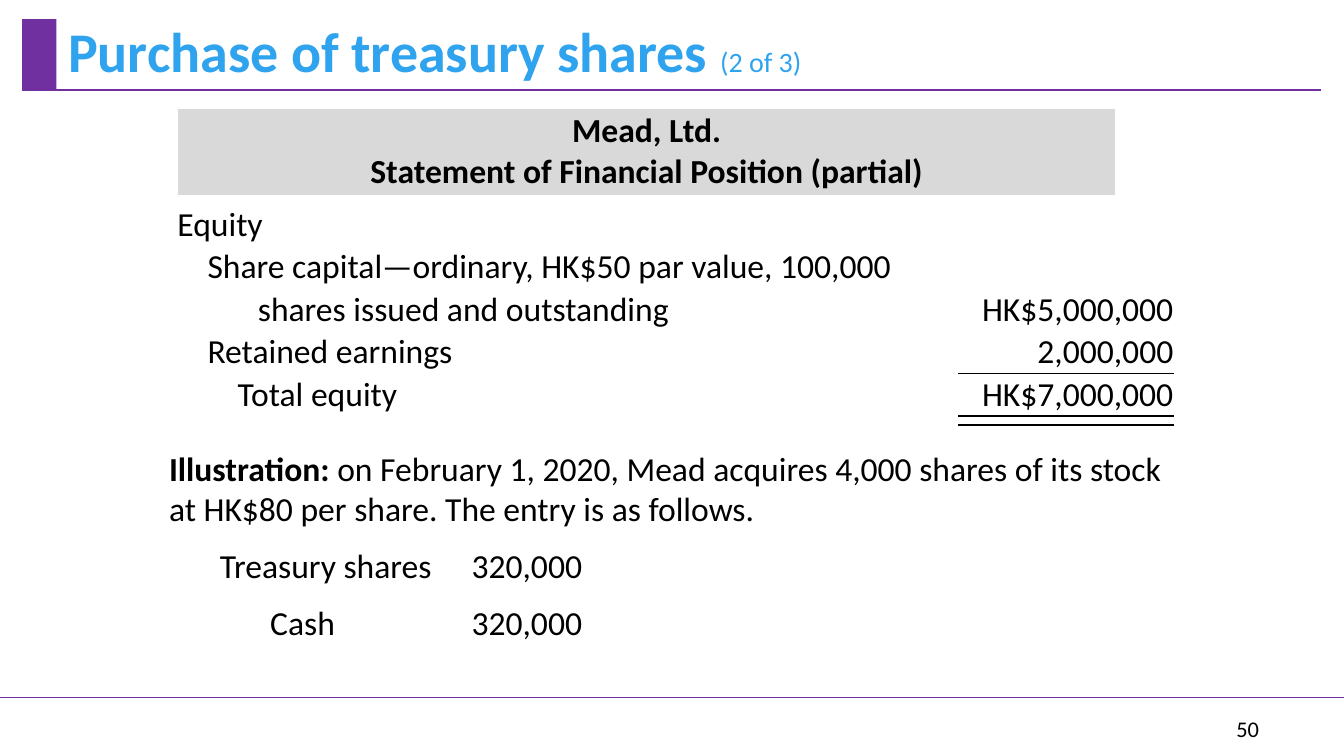
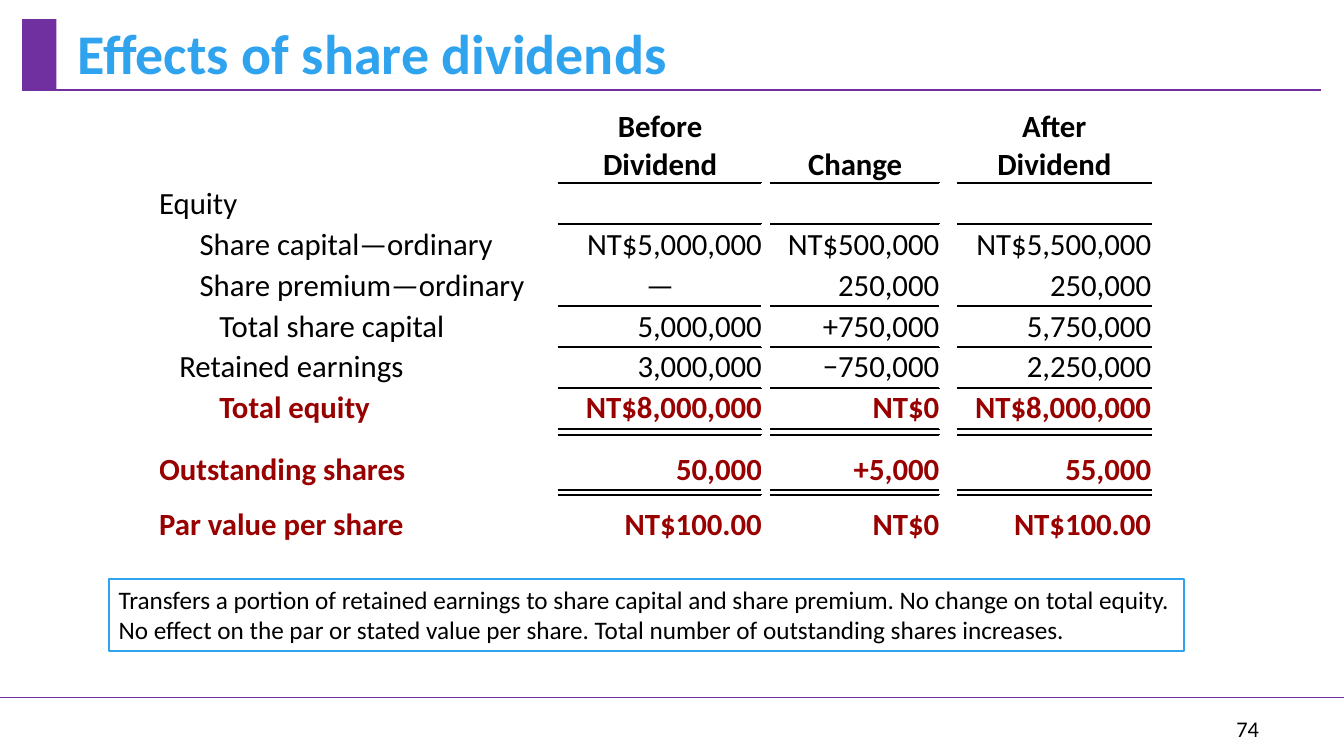
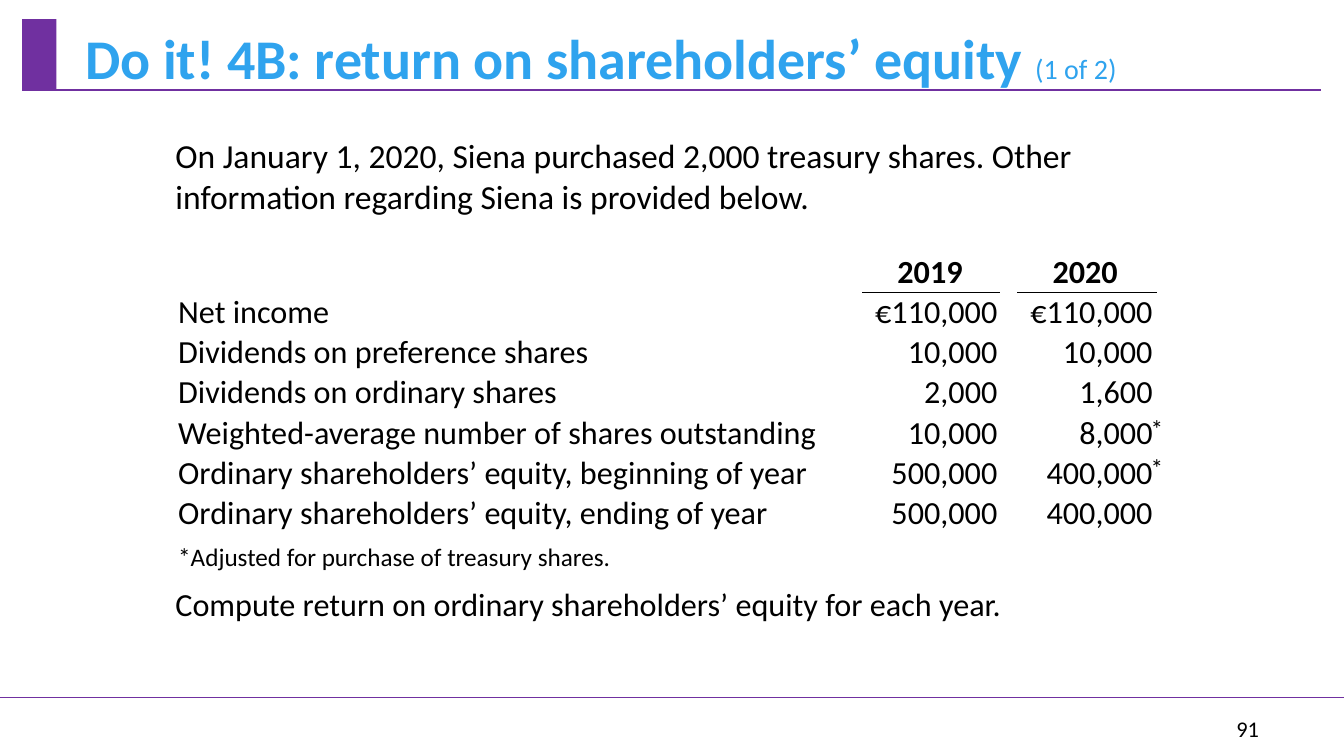
"""Build three accounting slides on treasury shares, share dividends and return on equity."""
import lxml.etree
import pptx
import pptx.dml.color
import pptx.enum.shapes
import pptx.enum.text
import pptx.oxml.ns
import pptx.util

Cm = pptx.util.Cm
Pt = pptx.util.Pt
qn = pptx.oxml.ns.qn
ALIGN = pptx.enum.text.PP_ALIGN
ANCHOR = pptx.enum.text.MSO_ANCHOR

PURPLE = pptx.dml.color.RGBColor(0x70, 0x30, 0xA0)
BLUE = pptx.dml.color.RGBColor(0x2F, 0xA3, 0xEE)
RED = pptx.dml.color.RGBColor(0x99, 0x00, 0x00)
GREY = pptx.dml.color.RGBColor(0xD9, 0xD9, 0xD9)
WHITE = pptx.dml.color.RGBColor(0xFF, 0xFF, 0xFF)
BLACK = pptx.dml.color.RGBColor(0x00, 0x00, 0x00)
FONT = "Calibri"


def add_text(slide, left, top, width, height, runs, color=BLACK):
    """Add a wrapped text box from (text, size, bold) runs."""
    box = slide.shapes.add_textbox(Cm(left), Cm(top), Cm(width), Cm(height))
    box.text_frame.word_wrap = True
    paragraph = box.text_frame.paragraphs[0]
    for text, size, bold in runs:
        run = paragraph.add_run()
        run.text = text
        run.font.name = FONT
        run.font.size = Pt(size)
        run.font.bold = bold
        run.font.color.rgb = color
    return box


def add_grid(slide, left, top, widths, heights, rows, size, indents,
             pad=0, value_margin=0, header=False, ruled=(), rule_width=1.5, red=()):
    """Add a plain table; odd columns hold values and carry the rules."""
    table = slide.shapes.add_table(len(rows), len(widths), Cm(left), Cm(top),
                                   Cm(sum(widths)), Cm(sum(heights))).table
    table.first_row = False
    table.horz_banding = False
    for column, width in zip(table.columns, widths):
        column.width = Cm(width)
    for row_index, texts in enumerate(rows):
        table.rows[row_index].height = Cm(heights[row_index])
        is_header = header and row_index == 0
        for column_index in range(len(widths)):
            text = texts[column_index] if column_index < len(texts) else ""
            is_value = column_index % 2 == 1
            cell = table.cell(row_index, column_index)
            cell.vertical_anchor = ANCHOR.BOTTOM
            cell.margin_left = Cm(indents[row_index] if column_index == 0 else 0)
            cell.margin_right = Cm(value_margin if is_value else 0)
            cell.margin_top = cell.margin_bottom = Cm(0 if is_header or not text else pad)
            for tag, ruled_row in (("a:lnT", row_index - 1), ("a:lnB", row_index)):
                if is_value and ruled_row in ruled:
                    properties = cell._tc.get_or_add_tcPr()
                    border = lxml.etree.SubElement(properties, qn(tag), w=str(Pt(rule_width)))
                    fill = lxml.etree.SubElement(border, qn("a:solidFill"))
                    lxml.etree.SubElement(fill, qn("a:srgbClr"), val=str(BLACK))
            cell.fill.background()
            if not text:
                lxml.etree.SubElement(cell.text_frame.paragraphs[0]._p,
                                      qn("a:endParaRPr"), sz="100")
                continue
            for line_index, line in enumerate(text.split("\n")):
                frame = cell.text_frame
                paragraph = frame.add_paragraph() if line_index else frame.paragraphs[0]
                if is_header or text == "—":
                    paragraph.alignment = ALIGN.CENTER
                else:
                    paragraph.alignment = ALIGN.RIGHT if is_value else ALIGN.LEFT
                run = paragraph.add_run()
                run.text = line
                run.font.name = FONT
                run.font.size = Pt(size)
                run.font.bold = is_header or row_index in red
                run.font.color.rgb = RED if row_index in red else BLACK
    return table


presentation = pptx.Presentation()
presentation.slide_width = Cm(33.87)
presentation.slide_height = Cm(19.05)

headings = [
    (50, 1.47, 0.48, 24.33, [("Purchase of treasury shares ", 40, True), ("(2 of 3)", 20, False)]),
    (74, 1.7, 0.53, 24.1, [("Effects of share dividends", 40, True)]),
    (91, 1.9, 0.64, 30.9, [("Do it! 4B: return on shareholders’ equity ", 40, True),
                           ("(1 of 2)", 20, False)]),
]
slides = []
for number, left, top, width, runs in headings:
    slide = presentation.slides.add_slide(presentation.slide_layouts[6])
    slides.append(slide)
    for start, end, y, weight in ((0, 33.87, 17.58, 1), (0.56, 33.3, 2.26, 1.25)):
        line = slide.shapes.add_connector(pptx.enum.shapes.MSO_CONNECTOR.STRAIGHT,
                                          Cm(start), Cm(y), Cm(end), Cm(y))
        line.line.color.rgb = PURPLE
        line.line.width = Pt(weight)
        lxml.etree.SubElement(line._element.spPr, qn("a:effectLst"))
    block = slide.shapes.add_shape(pptx.enum.shapes.MSO_SHAPE.RECTANGLE,
                                   Cm(0.56), Cm(0.48), Cm(0.86), Cm(1.8))
    block.shadow.inherit = False
    block.fill.solid()
    block.fill.fore_color.rgb = PURPLE
    block.line.fill.background()
    title = add_text(slide, left, top, width, 1.8, runs, BLUE)
    title.text_frame.vertical_anchor = ANCHOR.MIDDLE
    title.text_frame.paragraphs[0].line_spacing = 0.9
    page = add_text(slide, 29.85, 17.86, 2.13, 1.02, [(str(number), 16, False)])
    page.text_frame.vertical_anchor = ANCHOR.MIDDLE
    page.text_frame.paragraphs[0].alignment = ALIGN.RIGHT
treasury, dividends, returns = slides

band = add_grid(treasury, 4.47, 2.74, [23.65], [2.18],
                [["Mead, Ltd.\nStatement of Financial Position (partial)"]],
                24, [0], header=True)
band_cell = band.cell(0, 0)
band_cell.vertical_anchor = ANCHOR.MIDDLE
band_cell.fill.solid()
band_cell.fill.fore_color.rgb = GREY
add_grid(treasury, 4.47, 5.13, [19.69, 5.41], [1.07] * 5 + [0.23], [
    ["Equity"],
    ["Share capital—ordinary, HK$50 par value, 100,000"],
    ["shares issued and outstanding", "HK$5,000,000"],
    ["Retained earnings", "2,000,000"],
    ["Total equity", "HK$7,000,000"],
    [],
], 24, [0, 0.76, 2.03, 0.76, 1.52, 0], pad=0.02, ruled=(3, 4, 5))
add_text(treasury, 4.01, 11.15, 26.01, 2.4, [
    ("Illustration: ", 24, True),
    ("on February 1, 2020, Mead acquires 4,000 shares of its stock at HK$80 per share. "
     "The entry is as follows.", 24, False),
])
add_grid(treasury, 5.54, 13.37, [6.34, 2.79], [1.43] * 2,
         [["Treasury shares", "320,000"], ["Cash", "320,000"]], 24, [0, 1.27])

effects = add_grid(
    dividends, 4.01, 2.74, [10.06, 5.13, 0.23, 4.24, 0.46, 4.88],
    [1.88] + [1.03] * 6 + [0.17, 1.38, 0.13, 1.26], [
        ["", "Before\nDividend", "", "Change", "", "After\nDividend"],
        ["Equity"],
        ["Share capital—ordinary", "NT$5,000,000", "", "NT$500,000", "", "NT$5,500,000"],
        ["Share premium—ordinary", "—", "", "250,000", "", "250,000"],
        ["Total share capital", "5,000,000", "", "+750,000", "", "5,750,000"],
        ["Retained earnings", "3,000,000", "", "−750,000", "", "2,250,000"],
        ["Total equity", "NT$8,000,000", "", "NT$0", "", "NT$8,000,000"],
        [],
        ["Outstanding shares", "50,000", "", "+5,000", "", "55,000"],
        [],
        ["Par value per share", "NT$100.00", "", "NT$0", "", "NT$100.00"],
    ], 22, [0, 0, 1.02, 1.02, 1.52, 0.51, 1.52, 0, 0, 0, 0], pad=0.04, header=True,
    ruled=(0, 3, 5, 6, 7, 8, 9), red=(6, 8, 10))
for cell in effects.rows[8].cells:
    cell.margin_top = Cm(0.38)
note = add_text(dividends, 2.74, 14.6, 27.1, 1.8, [
    ("Transfers a portion of retained earnings to share capital and share premium. "
     "No change on total equity. No effect on the par or stated value per share. "
     "Total number of outstanding shares increases.", 18, False),
])
note.fill.solid()
note.fill.fore_color.rgb = WHITE
note.line.color.rgb = BLUE
note.line.width = Pt(1.25)

add_text(returns, 4.17, 3.28, 25.83, 2.4, [
    ("On January 1, 2020, Siena purchased 2,000 treasury shares. "
     "Other information regarding Siena is provided below.", 24, False),
])
figures = add_grid(returns, 4.24, 6.38, [17.5, 3.48, 0.43, 3.48], [0.99] + [1.01] * 7, [
    ["", "2019", "", "2020"],
    ["Net income", "€110,000", "", "€110,000"],
    ["Dividends on preference shares", "10,000", "", "10,000"],
    ["Dividends on ordinary shares", "2,000", "", "1,600"],
    ["Weighted-average number of shares outstanding", "10,000", "", "8,000"],
    ["Ordinary shareholders’ equity, beginning of year", "500,000", "", "400,000"],
    ["Ordinary shareholders’ equity, ending of year", "500,000", "", "400,000"],
    ["*Adjusted for purchase of treasury shares."],
], 23, [0.25] * 8, value_margin=0.08, header=True, ruled=(0,), rule_width=1)
figures.cell(7, 0).text_frame.paragraphs[0].runs[0].font.size = Pt(18)
add_text(returns, 4.17, 14.6, 24.56, 1.47, [
    ("Compute return on ordinary shareholders’ equity for each year.", 23, False),
])
for top in (10.29, 11.28):
    add_text(returns, 28.75, top, 0.66, 1.02, [("*", 18, False)])

presentation.save("out.pptx")
